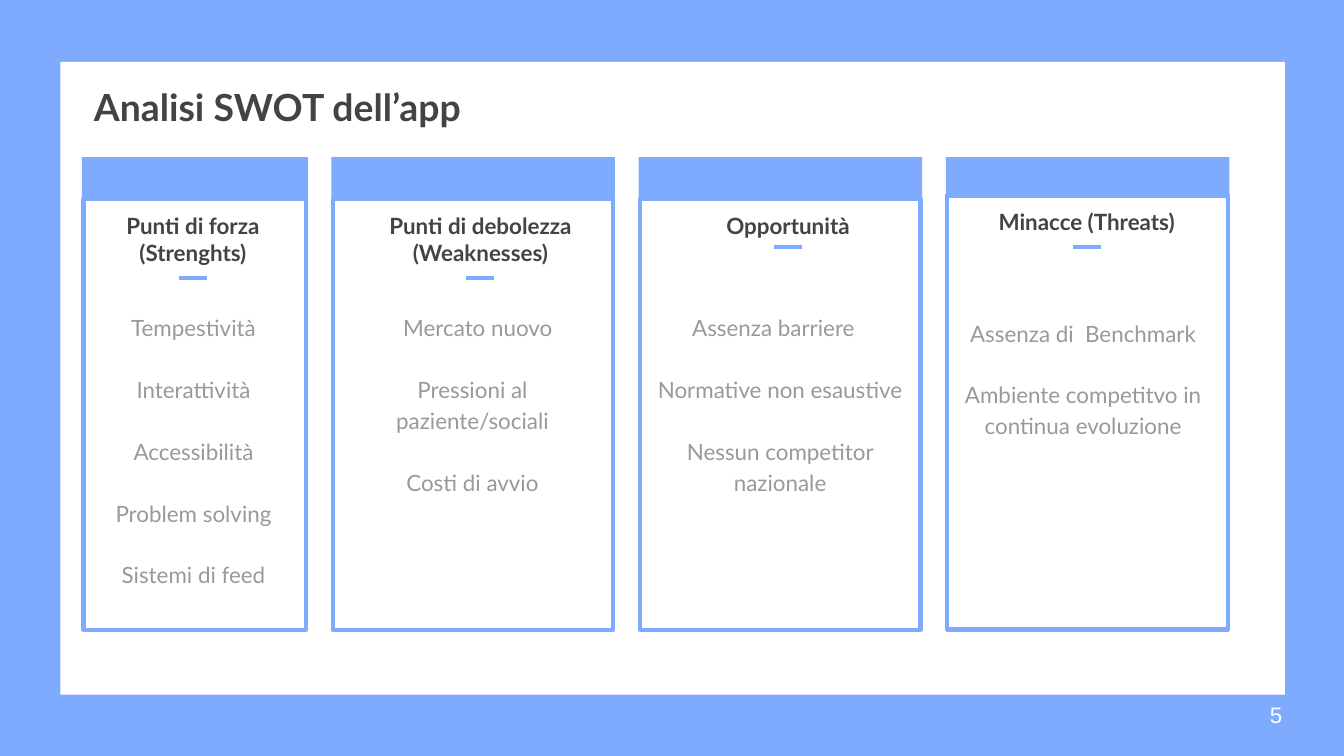
import pptx
import pptx.util
import pptx.dml.color
import pptx.enum.shapes
import pptx.enum.text
import pptx.oxml.ns
import lxml.etree

Pt = pptx.util.Pt
RGB = pptx.dml.color.RGBColor
ALIGN = pptx.enum.text.PP_ALIGN
ANCHOR = pptx.enum.text.MSO_ANCHOR

BLUE = RGB(0x7F, 0xAB, 0xFF)
WHITE = RGB(0xFF, 0xFF, 0xFF)
DARK = RGB(0x43, 0x43, 0x43)
GREY = RGB(0x99, 0x99, 0x99)

TITLE = "Analisi SWOT dell’app"
PAGE = "5"
# Items; top: card top; head: heading offset and width; body: text offset,
# top and width; dash: offset and height; indent: left-aligned first item
COLUMNS = [
    dict(name="Punti di forza (Strenghts)", width=121, top=106.6,
         head=(0, 119), body=(-0.7, 159.1, 121), dash=(51.9, 149), indent=None,
         items=["Tempestività", "Interattività", "Accessibilità",
                "Problem solving", "Sistemi di feed"]),
    dict(name="Punti di debolezza (Weaknesses)", width=152, top=106.6,
         head=(0.4, 159), body=(0.4, 159.1, 150.5), dash=(72.4, 149), indent=31,
         items=["Mercato nuovo", "Pressioni al paziente/sociali",
                "Costi di avvio"]),
    dict(name="Opportunità", width=152, top=106.6,
         head=(0.6, 159), body=(0.6, 159.1, 150.5), dash=(72.6, 132.5), indent=21,
         items=["Assenza barriere", "Normative non esaustive",
                "Nessun competitor nazionale"]),
    dict(name="Minacce (Threats)", width=152, top=104.4,
         head=(16, 119), body=(0.9, 162, 145.4), dash=(67.9, 132.5), indent=None,
         items=["Assenza di  Benchmark",
                "Ambiente competitvo in continua evoluzione"]),
]
LEFT, GAP = 43.9, 12.6
BAND_TOP, BAND_H = 84.2, 21.8
CARD_END = 337.3
DASH = 15

deck = pptx.Presentation()
deck.slide_width, deck.slide_height = Pt(720), Pt(405)
slide = deck.slides.add_slide(deck.slide_layouts[6])
slide.background.fill.solid()
slide.background.fill.fore_color.rgb = BLUE


def add_rect(x, y, w, h, fill=None, line=None):
    kind = pptx.enum.shapes.MSO_SHAPE.RECTANGLE
    rect = slide.shapes.add_shape(kind, Pt(x), Pt(y), Pt(w), Pt(h))
    rect.shadow.inherit = False
    if fill is None:
        rect.fill.background()
    else:
        rect.fill.solid()
        rect.fill.fore_color.rgb = fill
    if line is None:
        rect.line.fill.background()
    else:
        rect.line.color.rgb = line
        rect.line.width = Pt(2.25)


def add_dash(x, y):
    kind = pptx.enum.shapes.MSO_CONNECTOR.STRAIGHT
    dash = slide.shapes.add_connector(kind, Pt(x), Pt(y), Pt(x + DASH), Pt(y))
    dash.line.color.rgb = BLUE
    dash.line.width = Pt(2.25)
    props = dash._element.spPr
    lxml.etree.SubElement(props, pptx.oxml.ns.qn("a:effectLst"))


def add_text(text, x, y, w, h, size=12, font="Lato", color=DARK, bold=False,
             align=ALIGN.LEFT, anchor=ANCHOR.TOP, space=None, after=0,
             indent=None):
    """Add one paragraph per line; indent left-aligns the first one."""
    frame = slide.shapes.add_textbox(Pt(x), Pt(y), Pt(w), Pt(h)).text_frame
    frame.word_wrap = True
    frame.vertical_anchor = anchor
    frame.margin_left = frame.margin_right = Pt(7.2)
    frame.margin_top = frame.margin_bottom = Pt(7.2)
    frame.text = text
    for para in frame.paragraphs:
        para.alignment = align
        para.space_after = Pt(after)
        if space:
            para.line_spacing = space
        for run in para.runs:
            run.font.size = Pt(size)
            run.font.name = font
            run.font.bold = bold
            run.font.color.rgb = color
    if indent:
        first = frame.paragraphs[0]
        first.alignment = ALIGN.LEFT
        first._p.get_or_add_pPr().set("marL", str(Pt(indent)))


add_rect(32.4, 33.1, 655.9, 339.1, fill=WHITE)
add_text(TITLE, 43.2, 45.4, 600, 31, size=20, bold=True, anchor=ANCHOR.BOTTOM)
add_text(PAGE, 673.2, 367.2, 43.2, 31, font="Arial", color=WHITE,
         anchor=ANCHOR.MIDDLE)

x = LEFT
for col in COLUMNS:
    wide, top = col["width"], col["top"]
    add_rect(x, BAND_TOP, wide, BAND_H, fill=BLUE)
    add_rect(x + 0.8, top, wide - 1.8, CARD_END - top, line=BLUE)
    shift, w = col["head"]
    add_text(col["name"], x + shift, top, w, 38, bold=True, align=ALIGN.CENTER)
    shift, y, w = col["body"]
    add_text("\n".join(col["items"]), x + shift, y, w, 163, color=GREY,
             align=ALIGN.CENTER, space=1.15, after=16.56, indent=col["indent"])
    shift, y = col["dash"]
    add_dash(x + shift, y)
    x += wide + GAP

deck.save("out.pptx")
